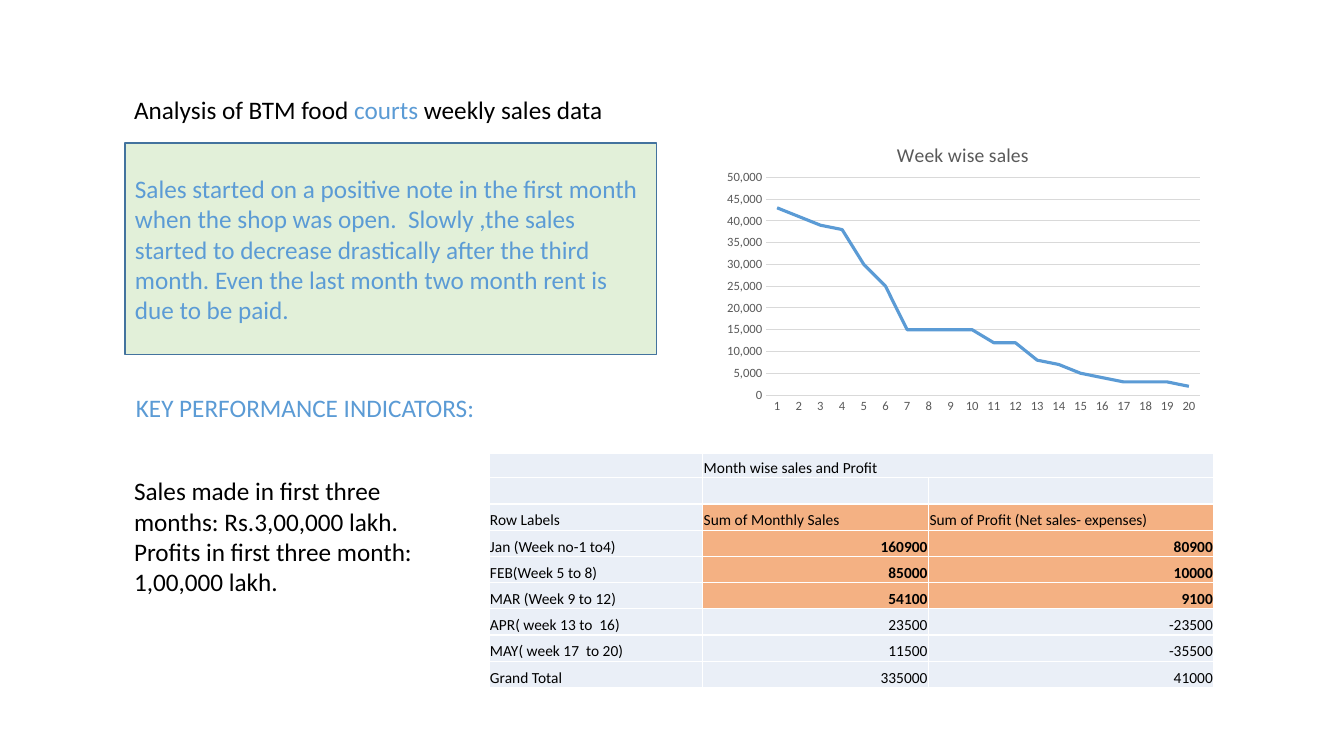
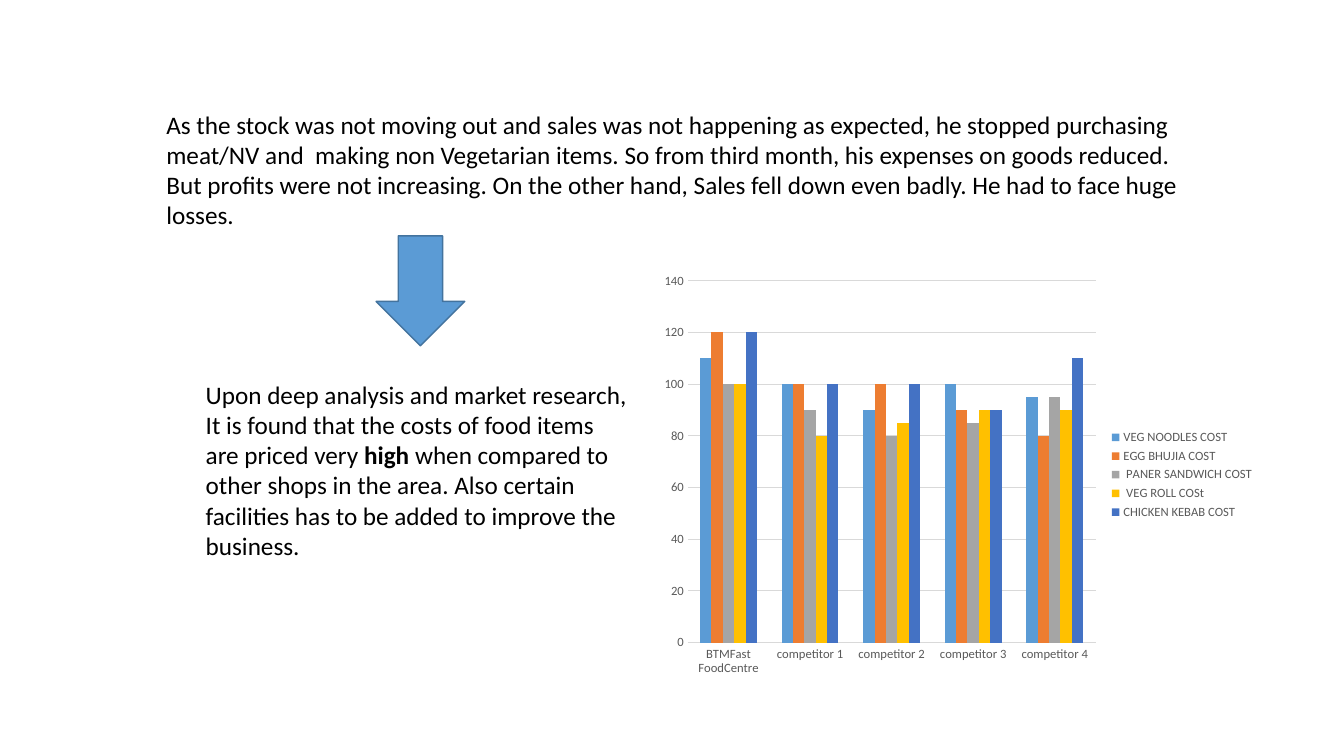
"""Build two slides on the weekly sales and prices of a food court."""
from dataclasses import dataclass
from typing import NamedTuple, Optional

from lxml.etree import SubElement as sub
from pptx import Presentation
from pptx.chart.chart import Chart
from pptx.chart.data import CategoryChartData as Data
from pptx.dml.color import RGBColor as RGB
from pptx.enum.chart import XL_CHART_TYPE as Kind
from pptx.enum.chart import XL_LEGEND_POSITION as Side
from pptx.enum.chart import XL_TICK_MARK as Tick
from pptx.enum.shapes import MSO_SHAPE as Form
from pptx.enum.text import MSO_ANCHOR as Anchor
from pptx.enum.text import MSO_AUTO_SIZE as Fit
from pptx.enum.text import PP_ALIGN as Align
from pptx.oxml.ns import qn
from pptx.slide import Slide
from pptx.table import _Cell as Cell
from pptx.text.text import Font, TextFrame
from pptx.util import Inches, Pt

FONT = "Calibri"
HUES = {
    "ink": "000000", "white": "FFFFFF", "gray": "595959", "grid": "D9D9D9",
    "blue": "5B9BD5", "edge": "43739E", "green": "E2F0D9",
    "pale": "EAEFF7", "peach": "F4B183", "orange": "ED7D31",
    "silver": "A5A5A5", "gold": "FFC000", "navy": "4472C4",
}


class Box(NamedTuple):
    """Left, top, width and height in inches."""
    left: float
    top: float
    width: float
    height: float


class Bit(NamedTuple):
    """A stretch of text in one style."""
    text: str
    hue: str = "ink"
    bold: bool = False


class Line(NamedTuple):
    """One data series of a chart."""
    name: str
    hue: str
    vals: tuple[int, ...]


@dataclass(frozen=True)
class Graph:
    """The data and scale of a chart."""
    box: Box
    kind: Kind
    cats: tuple[str, ...]
    lines: tuple[Line, ...]
    top: int
    step: int
    form: str
    title: str = ""
    inner: Optional[Box] = None


Text = tuple[tuple[Bit, ...], ...]

TREND = Graph(
    Box(7.05, 1.25, 5, 3), Kind.LINE, tuple(str(week) for week in range(1, 21)),
    (Line("Series 1", "blue", (
        43000, 41000, 39000, 38000, 30000, 25000, 15000, 15000, 15000, 15000,
        12000, 12000, 8000, 7000, 5000, 4000, 3000, 3000, 3000, 2000)),),
    50000, 5000, "#,##0", "Week wise sales", Box(0.11, 0.17, 0.86, 0.72))

COSTS = Graph(
    Box(6.47, 2.63, 6.07, 4.16), Kind.COLUMN_CLUSTERED,
    ("BTMFast FoodCentre", *(f"competitor {rank}" for rank in range(1, 5))),
    (Line("VEG NOODLES COST", "blue", (110, 100, 90, 100, 95)),
     Line("EGG BHUJIA COST", "orange", (120, 100, 100, 90, 80)),
     Line(" PANER SANDWICH COST", "silver", (100, 90, 80, 85, 95)),
     Line(" VEG ROLL COSt", "gold", (100, 80, 85, 90, 90)),
     Line("CHICKEN KEBAB COST", "navy", (120, 100, 100, 90, 110))),
    140, 20, "General")

MONTHS = (
    ("", "Month wise sales and Profit", ""),
    ("", "", ""),
    ("Row Labels", "Sum of Monthly Sales", "Sum of Profit (Net sales- expenses)"),
    ("Jan (Week no-1 to4)", "160900", "80900"),
    ("FEB(Week 5 to 8)", "85000", "10000"),
    ("MAR (Week 9 to 12)", "54100", "9100"),
    ("APR( week 13 to  16)", "23500", "-23500"),
    ("MAY( week 17  to 20)", "11500", "-35500"),
    ("Grand Total", "335000", "41000"),
)


def rgb(hue: str) -> RGB:
    """Look up a colour by name."""
    return RGB.from_string(HUES[hue])


def style(font: Font, size: float, hue: str, bold: bool = False) -> None:
    """Set face, size, colour and weight."""
    font.name, font.size, font.bold = FONT, Pt(size), bold
    font.color.rgb = rgb(hue)


def place(shape, box: Box) -> None:
    """Move a shape to its box."""
    shape.left, shape.top, shape.width, shape.height = map(Inches, box)


def write(frame: TextFrame, text: Text, anchor: Anchor = Anchor.TOP) -> None:
    """Fill a frame with left-aligned 18 point text."""
    frame.word_wrap, frame.auto_size = True, Fit.NONE
    frame.vertical_anchor = anchor
    frame.text = "\n".join("" for _ in text)
    for para, bits in zip(frame.paragraphs, text):
        para.alignment = Align.LEFT
        para.space_before = Pt(0)
        props = para._p.get_or_add_pPr()
        props.set("marL", "0")
        props.set("indent", "0")
        sub(props, qn("a:buNone"))
        for bit in bits:
            run = para.add_run()
            run.text = bit.text
            style(run.font, 18, bit.hue, bit.bold)


def hold(slide: Slide, slot: int, box: Box, text: Text) -> None:
    """Move and fill a placeholder."""
    shape = slide.placeholders[slot]
    place(shape, box)
    write(shape.text_frame, text)


def draw(slide: Slide, form: Form, box: Box, hue: str):
    """Add an outlined shape."""
    shape = slide.shapes.add_shape(form, *map(Inches, box))
    shape.shadow.inherit = False
    shape.fill.solid()
    shape.fill.fore_color.rgb = rgb(hue)
    shape.line.color.rgb = rgb("edge")
    shape.line.width = Pt(1)
    return shape


def frame_plot(chart: Chart, inner: Box) -> None:
    """Fix the inner plot area as shares of the chart."""
    area = chart._chartSpace.find(".//" + qn("c:plotArea"))
    for old in area.findall(qn("c:layout")):
        area.remove(old)
    node = sub(area, qn("c:layout"))
    area.insert(0, node)
    hand = sub(node, qn("c:manualLayout"))
    pairs = [("layoutTarget", "inner"), ("xMode", "edge"), ("yMode", "edge"),
             *zip("xywh", inner)]
    for tag, val in pairs:
        sub(hand, qn(f"c:{tag}"), val=str(val))


def plot(slide: Slide, graph: Graph) -> None:
    """Add a chart with gray labels and grid."""
    data = Data()
    data.categories = graph.cats
    for line in graph.lines:
        data.add_series(line.name, line.vals)
    chart = slide.shapes.add_chart(
        graph.kind, *map(Inches, graph.box), data).chart
    style(chart.font, 10, "ink")
    chart.has_title = bool(graph.title)
    if graph.title:
        head = chart.chart_title
        head.include_in_layout = False
        head.text_frame.text = graph.title
        style(head.text_frame.paragraphs[0].runs[0].font, 14, "gray")
    chart.has_legend = len(graph.lines) > 1
    if chart.has_legend:
        chart.legend.position = Side.RIGHT
        chart.legend.include_in_layout = False
        style(chart.legend.font, 9, "gray")
    base, scale = chart.category_axis, chart.value_axis
    for axis in (base, scale):
        axis.major_tick_mark = axis.minor_tick_mark = Tick.NONE
        style(axis.tick_labels.font, 9, "gray")
    base.has_major_gridlines, scale.has_major_gridlines = False, True
    for edge in (base.format.line, scale.major_gridlines.format.line):
        edge.color.rgb = rgb("grid")
        edge.width = Pt(0.75)
    scale.format.line.fill.background()
    scale.minimum_scale, scale.maximum_scale = 0, graph.top
    scale.major_unit = graph.step
    scale.tick_labels.number_format = graph.form
    scale.tick_labels.number_format_is_linked = False
    group = chart.plots[0]
    group.vary_by_categories = False
    for line, row in zip(graph.lines, group.series):
        if graph.kind == Kind.LINE:
            row.smooth = False
            row.format.line.color.rgb = rgb(line.hue)
            row.format.line.width = Pt(2.25)
        else:
            row.format.fill.solid()
            row.format.fill.fore_color.rgb = rgb(line.hue)
    if graph.kind != Kind.LINE:
        group.gap_width, group.overlap = 219, 0
    if graph.inner:
        frame_plot(chart, graph.inner)


def dress(cell: Cell, text: str, hue: str, bold: bool, align: Align) -> None:
    """Fill a table cell and give it white borders."""
    for side in "LRTB":
        edge = sub(cell._tc.get_or_add_tcPr(), qn(f"a:ln{side}"), w=str(Pt(1)))
        sub(sub(edge, qn("a:solidFill")), qn("a:srgbClr"), val=HUES["white"])
    cell.fill.solid()
    cell.fill.fore_color.rgb = rgb(hue)
    cell.margin_left = cell.margin_right = cell.margin_top = Inches(0.01)
    cell.margin_bottom = 0
    cell.vertical_anchor = Anchor.BOTTOM
    cell.text = text
    para = cell.text_frame.paragraphs[0]
    para.alignment = align
    for run in para.runs:
        style(run.font, 11, "ink", bold)
    if not text:
        sub(para._p, qn("a:endParaRPr"), sz="1100")


def tabulate(slide: Slide, box: Box, widths: tuple[float, ...]) -> None:
    """Add the month table with the first quarter marked."""
    table = slide.shapes.add_table(
        len(MONTHS), len(widths), *map(Inches, box)).table
    table.first_row = table.horz_banding = False
    for col, width in zip(table.columns, widths):
        col.width = Inches(width)
    for i, words in enumerate(MONTHS):
        table.rows[i].height = Inches(0.26 if i else 0.24)
        for j, word in enumerate(words):
            marked = j > 0 and 2 <= i <= 5
            value = j > 0 and i > 2
            dress(table.cell(i, j), word, "peach" if marked else "pale",
                  marked and value, Align.RIGHT if value else Align.LEFT)
    table.cell(0, 1).merge(table.cell(0, 2))


def show_sales(slide: Slide) -> None:
    """Draw the sales slide."""
    hold(slide, 0, Box(1.23, 0.89, 5.15, 0.5), ((
        Bit("Analysis of BTM food "), Bit("courts", "blue"),
        Bit(" weekly sales data")),))
    plot(slide, TREND)
    note = draw(slide, Form.RECTANGLE, Box(1.24, 1.42, 5.27, 2.1), "green")
    write(note.text_frame, ((Bit(
        "Sales started on a positive note in the first month when the shop "
        "was open.  Slowly ,the sales started to decrease drastically after "
        "the third month. Even the last month two month rent is due to be "
        "paid.", "blue"),),), Anchor.MIDDLE)
    label = slide.shapes.add_textbox(*map(Inches, Box(1.25, 3.84, 3.7, 0.4)))
    write(label.text_frame, ((Bit("KEY PERFORMANCE INDICATORS:", "blue"),),))
    tabulate(slide, Box(4.85, 4.5, 7.19, 2.32), (2.12, 2.24, 2.83))
    hold(slide, 1, Box(1.23, 4.67, 3.42, 1.31), (
        (Bit("Sales made in first three months: Rs.3,00,000 lakh."),),
        (Bit("Profits in first three month: 1,00,000 lakh."),)))


def show_costs(slide: Slide) -> None:
    """Draw the price slide."""
    hold(slide, 0, Box(1.55, 1.03, 10.44, 1.31), ((Bit(
        "As the stock was not moving out and sales was not happening as "
        "expected, he stopped purchasing meat/NV and  making non Vegetarian "
        "items. So from third month, his expenses on goods reduced. But "
        "profits were not increasing. On the other hand, Sales fell down "
        "even badly. He had to face huge losses."),),))
    draw(slide, Form.DOWN_ARROW, Box(3.73, 2.34, 0.88, 1.09), "blue")
    hold(slide, 1, Box(1.94, 3.71, 4.41, 1.92), (
        (Bit("Upon deep analysis and market research,"),),
        (Bit("It is found that the costs of food items are priced very "),
         Bit("high", bold=True),
         Bit(" when compared to other shops in the area. Also certain "
             "facilities has to be added to improve the business."))))
    plot(slide, COSTS)


deck = Presentation()
deck.slide_width, deck.slide_height = Inches(13.33), Inches(7.5)
for show in (show_sales, show_costs):
    show(deck.slides.add_slide(deck.slide_layouts[1]))
deck.save("out.pptx")
